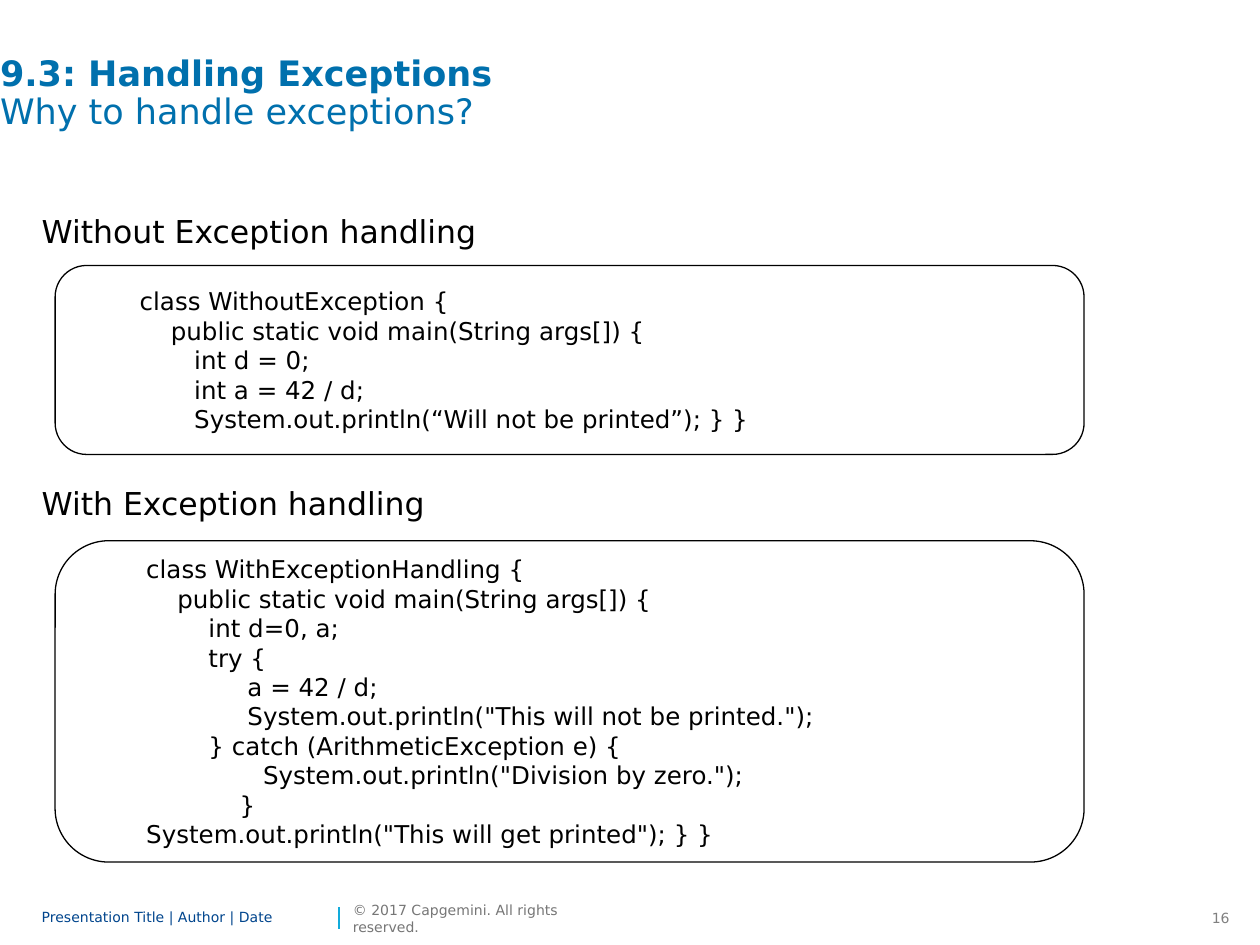
from dataclasses import dataclass

from pptx import Presentation
from pptx.dml.color import RGBColor
from pptx.enum.shapes import MSO_CONNECTOR as Connector, MSO_SHAPE as Shape
from pptx.enum.text import MSO_ANCHOR as Anchor, PP_ALIGN as Align
from pptx.oxml.ns import qn
from pptx.util import Pt


@dataclass(frozen=True)
class Theme:
    font: str = "DejaVu Sans"
    title: str = "0070AD"
    ink: str = "000000"
    footer: str = "00458D"
    copyright: str = "767676"
    number: str = "808080"
    accent: str = "12ABDB"
    title_size: int = 20
    heading_size: int = 18
    code_size: int = 14
    footer_size: int = 8


THEME = Theme()

HEADINGS = ["Without Exception handling", "With Exception handling"]

CODE_WITHOUT = """class WithoutException {
    public static void main(String args[]) {
       int d = 0;
       int a = 42 / d;
       System.out.println(“Will not be printed”); } }"""

CODE_WITH = """class WithExceptionHandling {
    public static void main(String args[]) {
        int d=0, a;
        try {
             a = 42 / d;
             System.out.println("This will not be printed.");
        } catch (ArithmeticException e) {
               System.out.println("Division by zero.");
            }
System.out.println("This will get printed"); } }"""


def style_runs(frame, size, color):
    for para in frame.paragraphs:
        for span in para.runs:
            span.font.name = THEME.font
            span.font.size = Pt(size)
            span.font.color.rgb = RGBColor.from_string(color)


def set_insets(frame, across, down):
    frame.margin_left = frame.margin_right = Pt(across)
    frame.margin_top = frame.margin_bottom = Pt(down)


def add_text(page, bounds, text, size, color, anchor=Anchor.TOP, wrap=True):
    box = page.shapes.add_textbox(*map(Pt, bounds))
    frame = box.text_frame
    frame.text = text
    frame.word_wrap = wrap
    frame.vertical_anchor = anchor
    set_insets(frame, 0, 0)
    style_runs(frame, size, color)
    return frame


def add_title(page):
    frame = add_text(page, (0, 32.4, 672, 67.7),
                     "9.3: Handling Exceptions\vWhy to handle exceptions?",
                     THEME.title_size, THEME.title)
    para = frame.paragraphs[0]
    para.line_spacing = 0.9
    para.runs[0].font.bold = True


def add_headings(page):
    frame = add_text(page, (23.8, 118, 696, 366), "\n".join(HEADINGS),
                     THEME.heading_size, THEME.ink)
    for para in frame.paragraphs:
        para.line_spacing = Pt(25)
        para.space_after = Pt(6)
    frame.paragraphs[1].space_before = Pt(124)


def add_code(page, top, height, code):
    box = page.shapes.add_shape(Shape.ROUNDED_RECTANGLE,
                                Pt(31.5), Pt(top), Pt(588), Pt(height))
    box.shadow.inherit = False
    box.fill.background()
    box.line.color.rgb = RGBColor.from_string(THEME.ink)
    box.line.width = Pt(0.75)
    frame = box.text_frame
    frame.text = code
    frame.word_wrap = True
    frame.vertical_anchor = Anchor.MIDDLE
    set_insets(frame, 7.2, 3.6)
    for para in frame.paragraphs:
        para.alignment = Align.LEFT
        para.level = 1
        properties = para._p.get_or_add_pPr()
        properties.set("marL", str(Pt(36)))
        properties.set("indent", "0")
    style_runs(frame, THEME.code_size, THEME.ink)


def add_divider(page, x, top, bottom):
    line = page.shapes.add_connector(Connector.STRAIGHT,
                                     Pt(x), Pt(bottom), Pt(x), Pt(top))
    line.line.color.rgb = RGBColor.from_string(THEME.accent)
    line.line.width = Pt(1)
    properties = line._element.spPr
    properties.append(properties.makeelement(qn("a:effectLst"), {}))


def add_footer(page):
    top, height, size = 516.2, 17.3, THEME.footer_size
    number = add_text(page, (681.8, top, 28, height), "16",
                      size, THEME.number, wrap=False)
    set_insets(number, 7.2, 3.6)
    number.paragraphs[0].alignment = Align.RIGHT
    add_divider(page, 193.7, 518.4, 530.6)
    label = add_text(page, (23.8, top, 167, height),
                     "Presentation Title | Author | Date",
                     size, THEME.footer, Anchor.MIDDLE)
    label.paragraphs[0].line_spacing = 0.85
    add_text(page, (201.6, top, 131, height),
             "© 2017 Capgemini. All rights reserved.",
             size, THEME.copyright, Anchor.MIDDLE, wrap=False)


def main():
    deck = Presentation()
    deck.slide_width, deck.slide_height = Pt(720), Pt(540)
    page = deck.slides.add_slide(deck.slide_layouts[6])
    add_footer(page)
    add_title(page)
    add_headings(page)
    add_code(page, 151.7, 108, CODE_WITHOUT)
    add_code(page, 309, 183.6, CODE_WITH)
    deck.save("out.pptx")


if __name__ == "__main__":
    main()
